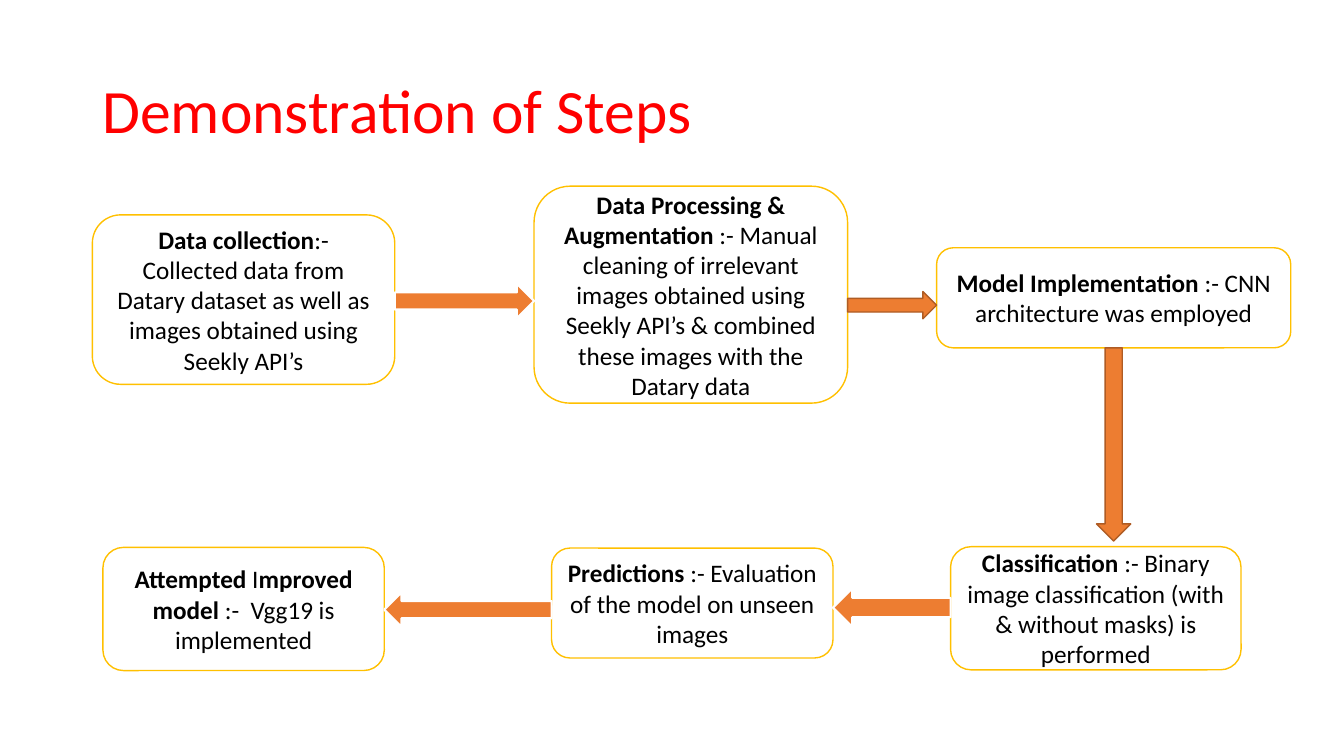
import pptx
import pptx.util
from pptx.dml.color import RGBColor
from pptx.enum.shapes import MSO_SHAPE
from pptx.enum.text import MSO_ANCHOR, PP_ALIGN

Pt = pptx.util.Pt

RED = RGBColor(0xFF, 0x00, 0x00)
BLACK = RGBColor(0x00, 0x00, 0x00)
WHITE = RGBColor(0xFF, 0xFF, 0xFF)
GOLD = RGBColor(0xFF, 0xC0, 0x00)
ORANGE = RGBColor(0xED, 0x7D, 0x31)
BROWN = RGBColor(0xAF, 0x5C, 0x24)
FONT = "Calibri"

# Content: each step has a box (left, top, width, height) and (text, bold) runs
HEADING = "Demonstration of Steps"
STEPS = {
    "collection": ((66, 153.5, 216, 121), [
        ("Data collection", True),
        (":- Collected data from Datary dataset as well as images "
         "obtained using Seekly API’s", False)]),
    "processing": ((381.5, 133, 224, 155), [
        ("Data Processing & Augmentation ", True),
        (":- Manual cleaning of irrelevant images obtained using Seekly API’s "
         "& combined these images with the Datary data", False)]),
    "model": ((669, 177, 253, 71.5), [
        ("Model Implementation ", True),
        (":- CNN architecture was employed", False)]),
    "classification": ((679, 390.5, 207.5, 88), [
        ("Classification", True),
        (" :- Binary image classification (with & without masks) is performed",
         False)]),
    "predictions": ((394, 391.5, 201, 78.5), [
        ("Predictions", True),
        (" :- Evaluation of the model on unseen images", False)]),
    "improved": ((73.5, 391, 201, 88), [
        ("Attempted", True), (" I", False), ("mproved model ", True),
        (":-  Vgg19 is implemented", False)]),
}
# From step, to step, centre across the arrow, thickness, outline, outline width
ARROWS = [
    ("collection", "processing", 215, 24.5, WHITE, 1.5),
    ("processing", "model", 218, 19.5, BROWN, 1),
    ("model", "classification", 795.5, 24.5, BROWN, 1),
    ("classification", "predictions", 434, 27.5, WHITE, 1.5),
    ("predictions", "improved", 435.5, 24.5, WHITE, 1.5),
]
DOWN_GAP = 4  # space left below the down arrow's head

deck = pptx.Presentation()
deck.slide_width, deck.slide_height = Pt(960), Pt(540)
slide = deck.slides.add_slide(deck.slide_layouts[5])


def add_run(paragraph, text, size, color, bold=False):
    run = paragraph.add_run()
    run.text = text
    run.font.name, run.font.size, run.font.bold = FONT, Pt(size), bold
    run.font.color.rgb = color


def add_block(kind, box, fill, outline, outline_width):
    block = slide.shapes.add_shape(kind, *map(Pt, box))
    block.shadow.inherit = False
    block.fill.solid()
    block.fill.fore_color.rgb = fill
    block.line.color.rgb = outline
    block.line.width = Pt(outline_width)
    return block


# Heading
heading = slide.shapes.title
heading.left, heading.top, heading.width, heading.height = map(
    Pt, (66, 28.75, 828, 104.4))
heading.text_frame.vertical_anchor = MSO_ANCHOR.MIDDLE
heading_line = heading.text_frame.paragraphs[0]
heading_line.alignment = PP_ALIGN.LEFT
heading_line.line_spacing = 0.9
add_run(heading_line, HEADING, 44, RED)

# Step boxes
for box, runs in STEPS.values():
    step = add_block(MSO_SHAPE.ROUNDED_RECTANGLE, box, WHITE, GOLD, 1)
    step.text_frame.word_wrap = True
    step.text_frame.vertical_anchor = MSO_ANCHOR.MIDDLE
    description = step.text_frame.paragraphs[0]
    description.alignment = PP_ALIGN.CENTER
    for text, bold in runs:
        add_run(description, text, 18, BLACK, bold)

# Arrows fill the gap between one step and the next
for source, target, centre, thickness, outline, outline_width in ARROWS:
    left, top, width, height = STEPS[source][0]
    next_left, next_top, next_width, _ = STEPS[target][0]
    side = centre - thickness / 2
    if next_left >= left + width:
        kind = MSO_SHAPE.RIGHT_ARROW
        box = (left + width, side, next_left - left - width, thickness)
    elif next_left + next_width <= left:
        kind = MSO_SHAPE.LEFT_ARROW
        next_right = next_left + next_width
        box = (next_right, side, left - next_right, thickness)
    else:
        kind = MSO_SHAPE.DOWN_ARROW
        bottom = top + height
        box = (side, bottom, thickness, next_top - bottom - DOWN_GAP)
    add_block(kind, box, ORANGE, outline, outline_width)

deck.save("out.pptx")
